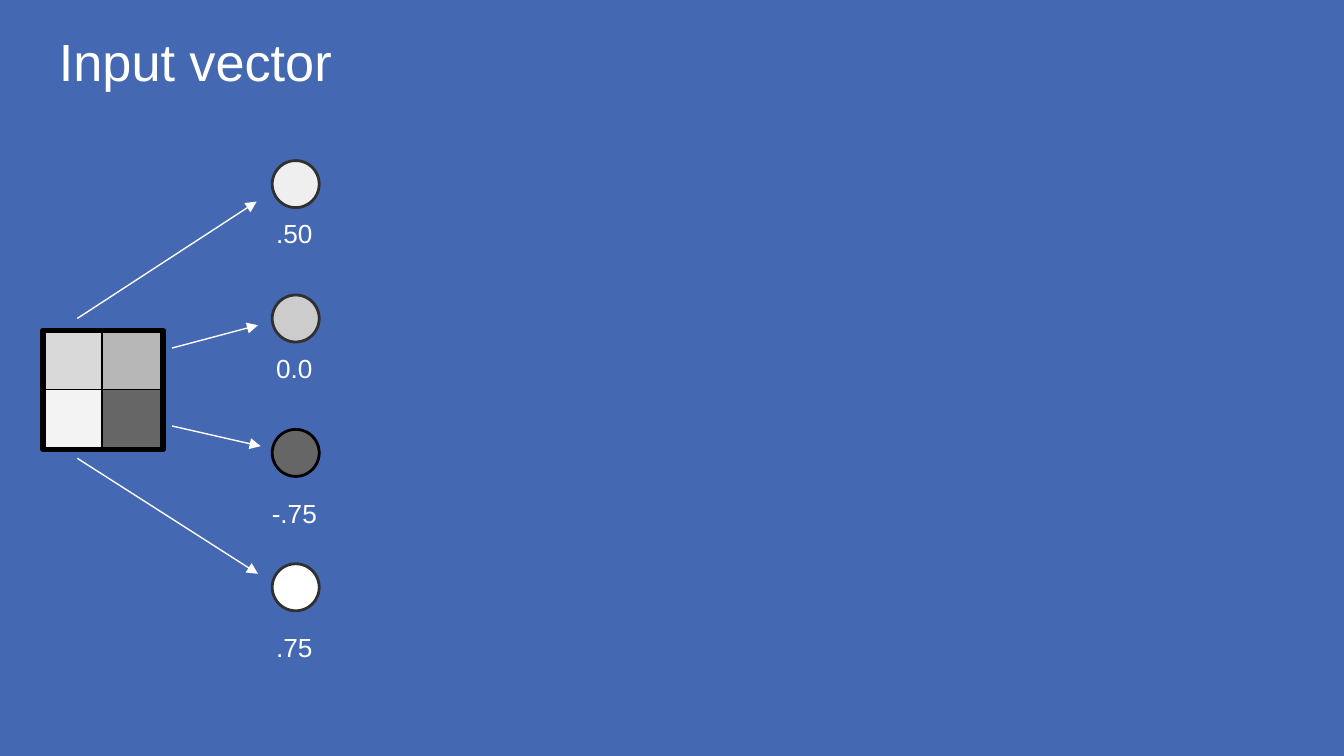
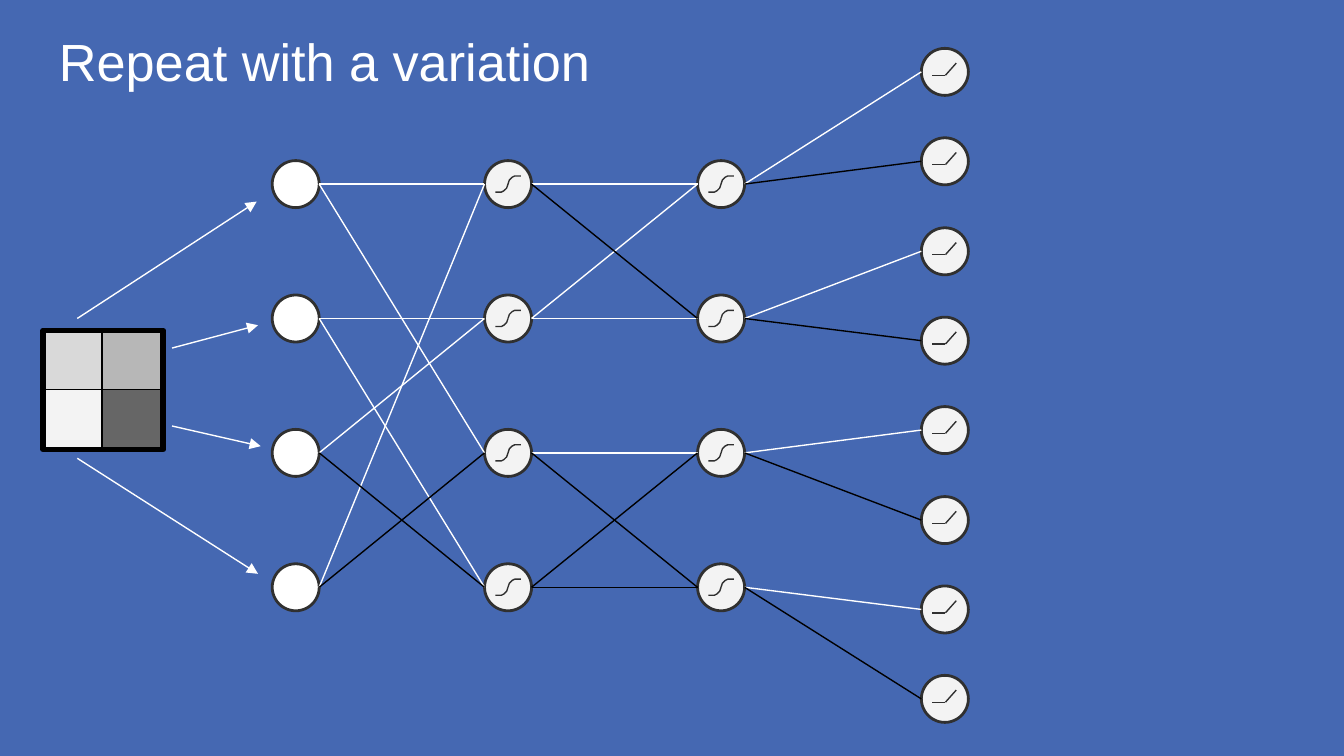
from lxml import etree
from pptx import Presentation
from pptx import util as u
from pptx.dml.color import RGBColor
from pptx.enum import shapes, text
from pptx.oxml.ns import qn

PX = 4572  # 200 px to the inch

BLUE = RGBColor(0x45, 0x68, 0xB2)
WHITE = RGBColor(0xFF, 0xFF, 0xFF)
BLACK = RGBColor(0x00, 0x00, 0x00)
CHARCOAL = RGBColor(0x30, 0x30, 0x30)
DARK_GRAY = RGBColor(0x66, 0x66, 0x66)
MID_GRAY = RGBColor(0xB7, 0xB7, 0xB7)
SILVER = RGBColor(0xCC, 0xCC, 0xCC)
LIGHT_GRAY = RGBColor(0xD9, 0xD9, 0xD9)
PEARL = RGBColor(0xEF, 0xEF, 0xEF)
OFF_WHITE = RGBColor(0xF3, 0xF3, 0xF3)

RADIUS = 35
INPUT_X, HIDDEN_X, SECOND_X, OUTPUT_X = 440, 756, 1073, 1406
ROWS = [274 + 200 * i for i in range(4)]
OUTPUT_ROWS = [round(107 + i * 400 / 3) for i in range(8)]

# Pixel positions and shades
PIXELS = [(64, 492, LIGHT_GRAY), (64, 580, OFF_WHITE),
          (152, 580, DARK_GRAY), (152, 492, MID_GRAY)]
ARROWS = [((256, 518), (384, 484)), ((256, 634), (388, 664)),
          ((115, 474), (382, 300)), ((115, 682), (384, 854))]

# Weights between layers: from row, to row, colour
INPUT_WEIGHTS = [(0, 0, WHITE), (3, 0, WHITE), (2, 1, WHITE), (1, 1, WHITE),
                 (0, 2, WHITE), (1, 3, WHITE), (2, 3, BLACK), (3, 2, BLACK)]
HIDDEN_WEIGHTS = [(0, 0, WHITE), (1, 0, WHITE), (1, 1, WHITE), (0, 1, BLACK),
                  (2, 2, WHITE), (2, 3, BLACK), (3, 3, BLACK), (3, 2, BLACK)]
OUTPUT_WEIGHTS = [(i // 2, i, BLACK if i % 2 else WHITE) for i in range(8)]

# Upper half of the sigmoid, measured from the node centre
HALF_SIGMOID = [(0, 0), (2, -6), (6, -10), (10, -12), (19, -12)]

# Per slide: title, then value, label top, fill and outline of each input
SLIDES = [
    ("Input vector", [(".50", 304, PEARL, CHARCOAL), ("0.0", 504, SILVER, CHARCOAL),
                      ("-.75", 720, DARK_GRAY, BLACK), (".75", 920, WHITE, CHARCOAL)]),
    ("Repeat with a variation", [("", 0, WHITE, CHARCOAL)] * 4),
]


def add_block(slide, kind, box, fill, outline, points):
    block = slide.shapes.add_shape(kind, *(n * PX for n in box))
    block.shadow.inherit = False
    if fill is None:
        block.fill.background()
    else:
        block.fill.solid()
        block.fill.fore_color.rgb = fill
    block.line.color.rgb = outline
    block.line.width = u.Pt(points)


def add_line(parent, start, end, color, arrow=False):
    line = parent.shapes.add_connector(
        shapes.MSO_CONNECTOR.STRAIGHT, *(n * PX for n in (*start, *end)))
    line.line.color.rgb = color
    line.line.width = u.Pt(0.75)
    if arrow:
        etree.SubElement(line.line._get_or_add_ln(), qn("a:tailEnd"), type="triangle")
    etree.SubElement(line._element.spPr, qn("a:effectLst"))


prs = Presentation()
prs.slide_width, prs.slide_height = 2000 * PX, 1125 * PX
prs.slide_master.background.fill.solid()
prs.slide_master.background.fill.fore_color.rgb = BLUE

RECT = shapes.MSO_SHAPE.RECTANGLE
OVAL = shapes.MSO_SHAPE.OVAL

# Image, input layer and captions on both slides
for title, inputs in SLIDES:
    slide = prs.slides.add_slide(prs.slide_layouts[6])
    for x, y, shade in PIXELS:
        add_block(slide, RECT, (x, y, 88, 88), shade, BLACK, 0.75)
    add_block(slide, RECT, (64, 492, 179, 177), None, BLACK, 3)

    captions = [(title, (68, 14, 1864, 126), 28, 1.1, text.PP_ALIGN.LEFT)]
    for y, (value, label_top, fill, outline) in zip(ROWS, inputs):
        add_block(slide, OVAL, (INPUT_X - RADIUS, y - RADIUS, 2 * RADIUS, 2 * RADIUS),
                  fill, outline, 1.5)
        if value:
            captions.append((value, (359, label_top, 158, 98), 14, 1.0,
                             text.PP_ALIGN.CENTER))
    for start, end in ARROWS:
        add_line(slide, start, end, WHITE, arrow=True)

    for words, box, size, spacing, align in captions:
        frame = slide.shapes.add_textbox(*(n * PX for n in box)).text_frame
        frame.word_wrap = True
        frame.vertical_anchor = text.MSO_ANCHOR.TOP
        frame.margin_left = frame.margin_right = 20 * PX
        frame.margin_top = frame.margin_bottom = 20 * PX
        frame.text = words
        caption = frame.paragraphs[0]
        caption.alignment = align
        caption.line_spacing = spacing
        caption.font.size = u.Pt(size)
        caption.font.name = "Arial"
        caption.font.color.rgb = WHITE

# Network layers on the last slide
network = [(INPUT_X, HIDDEN_X, ROWS, INPUT_WEIGHTS),
           (HIDDEN_X, SECOND_X, ROWS, HIDDEN_WEIGHTS),
           (SECOND_X, OUTPUT_X, OUTPUT_ROWS, OUTPUT_WEIGHTS)]
for source_x, layer_x, layer_rows, weights in network:
    for y in layer_rows:
        add_block(slide, OVAL, (layer_x - RADIUS, y - RADIUS, 2 * RADIUS, 2 * RADIUS),
                  OFF_WHITE, CHARCOAL, 1.5)
    for source, target, color in weights:
        add_line(slide, (source_x + RADIUS, ROWS[source]),
                 (layer_x - RADIUS, layer_rows[target]), color)

# Sigmoid curves in the hidden layers, each of two mirrored halves
for x in (HIDDEN_X, SECOND_X):
    for y in ROWS:
        sigmoid = slide.shapes.add_group_shape()
        for side in (1, -1):
            curve = [(x + side * dx, y + side * dy) for dx, dy in HALF_SIGMOID]
            builder = sigmoid.shapes.build_freeform(*curve[0], scale=PX)
            builder.add_line_segments(curve[1:], close=False)
            half = builder.convert_to_shape()
            half.shadow.inherit = False
            half.fill.background()
            half.line.color.rgb = CHARCOAL
            half.line.width = u.Pt(0.75)

# Rectifier marks in the output layer
for y in OUTPUT_ROWS:
    rectifier = slide.shapes.add_group_shape()
    bend = (OUTPUT_X + 1, y + 5)
    add_line(rectifier, (OUTPUT_X - 19, y + 5), bend, CHARCOAL)
    add_line(rectifier, bend, (OUTPUT_X + 17, y - 13), CHARCOAL)

prs.save("out.pptx")
